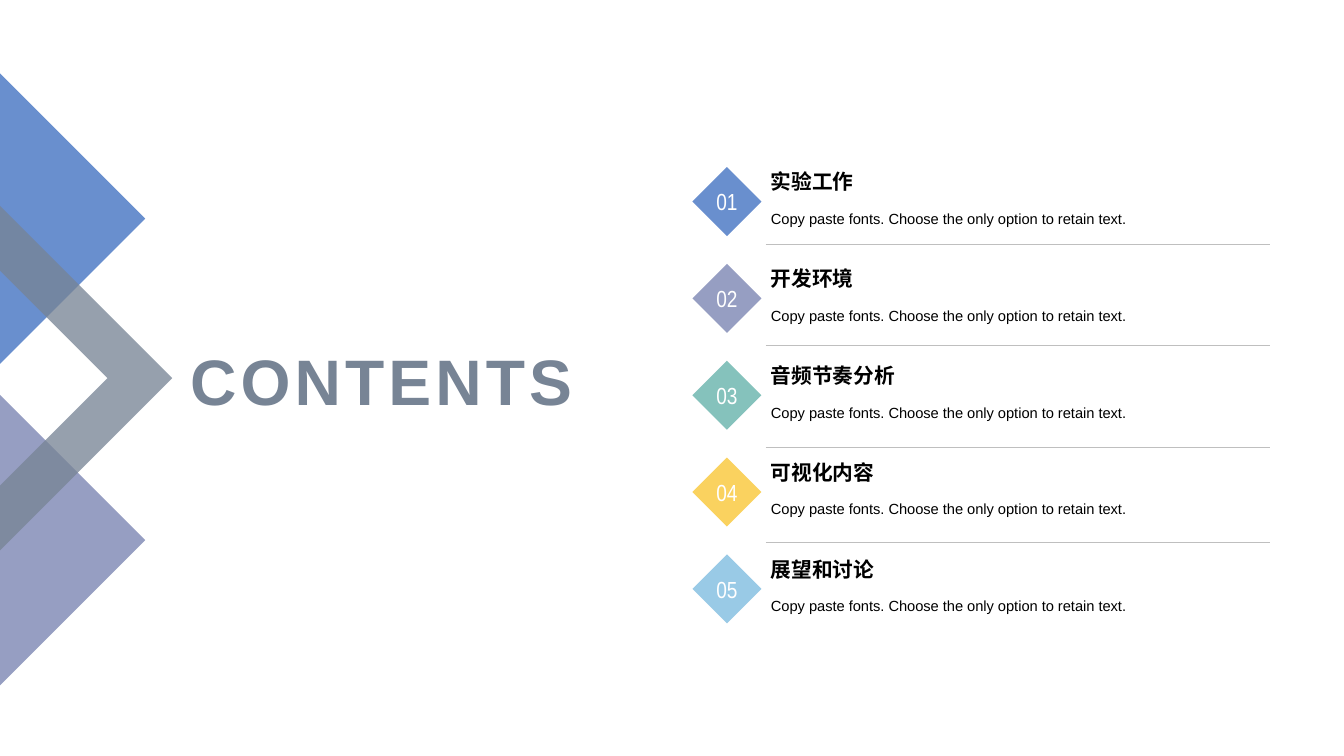
from lxml import etree
from pptx import Presentation
from pptx.dml.color import RGBColor
from pptx.enum.shapes import MSO_CONNECTOR, MSO_SHAPE
from pptx.enum.text import MSO_ANCHOR, MSO_AUTO_SIZE, PP_ALIGN
from pptx.oxml.ns import qn
from pptx.util import Cm, Pt

STRAIGHT = MSO_CONNECTOR.STRAIGHT
DIAMOND = MSO_SHAPE.DIAMOND
MIDDLE, BOTTOM = MSO_ANCHOR.MIDDLE, MSO_ANCHOR.BOTTOM
CENTER, LEFT, RIGHT = PP_ALIGN.CENTER, PP_ALIGN.LEFT, PP_ALIGN.RIGHT
NO_FIT = MSO_AUTO_SIZE.NONE

COLORS = {
    "blue": "698FCE", "lavender": "969EC2", "teal": "85C2BC",
    "yellow": "FAD25F", "sky": "99CAE6", "slate": "778495",
    "rule": "BFBFBF", "black": "000000", "white": "FFFFFF",
}
TITLE = "CONTENTS"
SUBTITLE = "Copy paste fonts. Choose the only option to retain text."
SECTIONS = [
    ("实验工作", "blue"),
    ("开发环境", "lavender"),
    ("音频节奏分析", "teal"),
    ("可视化内容", "yellow"),
    ("展望和讨论", "sky"),
]

# Lengths in centimetres
MID_Y = 9.53
TRIANGLES = [("lavender", 13.61), ("blue", 5.51)]
TRIANGLE_REACH = 3.66
CHEVRON_OUTER, CHEVRON_INNER = 4.34, 2.71
FIRST_ROW, ROW_PITCH = 4.21, 2.44
DIAMOND_LEFT, DIAMOND_SIZE = 17.45, 1.74
TEXT_LEFT, TEXT_WIDTH = 19.18, 11
RULE_LEFT, RULE_RIGHT = 19.3, 32
RULE_YS = [6.15, 8.71, 11.28, 13.67]


def color(name):
    return RGBColor.from_string(COLORS[name])


def paint(shape, name):
    shape.shadow.inherit = False
    shape.fill.solid()
    shape.fill.fore_color.rgb = color(name)
    shape.line.fill.background()


def add_polygon(slide, points, name):
    start, *others = [(Cm(x), Cm(y)) for x, y in points]
    builder = slide.shapes.build_freeform(*start)
    builder.add_line_segments(others, close=True)
    polygon = builder.convert_to_shape()
    paint(polygon, name)
    return polygon


def write(shape, text, size, name, font="Arial", bold=False, align=LEFT,
          anchor=MIDDLE, wrap=True):
    frame = shape.text_frame
    frame.auto_size = NO_FIT
    frame.word_wrap = wrap
    frame.vertical_anchor = anchor
    para = frame.paragraphs[0]
    para.text = text
    para.alignment = align
    para.font.name = font
    para.font.size = Pt(size)
    para.font.bold = bold
    para.font.color.rgb = color(name)
    return para


def add_decoration(slide):
    for name, y in TRIANGLES:
        reach = TRIANGLE_REACH
        add_polygon(slide, [(0, y - reach), (reach, y), (0, y + reach)], name)
    outer, inner = CHEVRON_OUTER, CHEVRON_INNER
    chevron = add_polygon(slide, [
        (0, MID_Y - outer), (outer, MID_Y), (0, MID_Y + outer),
        (0, MID_Y + inner), (inner, MID_Y), (0, MID_Y - inner),
    ], "slate")
    tint = chevron._element.spPr.find(qn("a:solidFill"))[0]
    etree.SubElement(tint, qn("a:alpha"), val="77000")


def add_title(slide):
    title = slide.shapes.title
    title.left, title.top = Cm(4.29), Cm(8.28)
    title.width, title.height = Cm(10.39), Cm(2.57)
    para = write(title, TITLE, 45.9, "slate", bold=True, align=RIGHT)
    para.runs[0]._r.get_or_add_rPr().set("spc", "300")


def add_section(slide, index, heading, name):
    top = FIRST_ROW + index * ROW_PITCH
    diamond = slide.shapes.add_shape(
        DIAMOND, Cm(DIAMOND_LEFT), Cm(top), Cm(DIAMOND_SIZE), Cm(DIAMOND_SIZE))
    paint(diamond, name)
    write(diamond, f"{index + 1:02}", 16.6, "white", font="Arial Narrow",
          align=CENTER, wrap=False)

    left, width = Cm(TEXT_LEFT), Cm(TEXT_WIDTH)
    box = slide.shapes.add_textbox(left, Cm(top - 0.04), width, Cm(0.84))
    write(box, heading, 14.8, "black", bold=True, anchor=BOTTOM)
    box = slide.shapes.add_textbox(left, Cm(top + 0.81), width, Cm(0.89))
    write(box, SUBTITLE, 10.5, "black").line_spacing = 1.2


def add_rule(slide, y):
    rule = slide.shapes.add_connector(
        STRAIGHT, Cm(RULE_LEFT), Cm(y), Cm(RULE_RIGHT), Cm(y))
    rule.line.color.rgb = color("rule")
    rule.line.width = Pt(0.25)
    etree.SubElement(rule._element.spPr, qn("a:effectLst"))


def main():
    deck = Presentation()
    deck.slide_width, deck.slide_height = Cm(33.87), Cm(19.05)
    slide = deck.slides.add_slide(deck.slide_layouts[5])
    add_decoration(slide)
    add_title(slide)
    for index, (heading, name) in enumerate(SECTIONS):
        add_section(slide, index, heading, name)
    for y in RULE_YS:
        add_rule(slide, y)
    deck.save("out.pptx")


if __name__ == "__main__":
    main()
